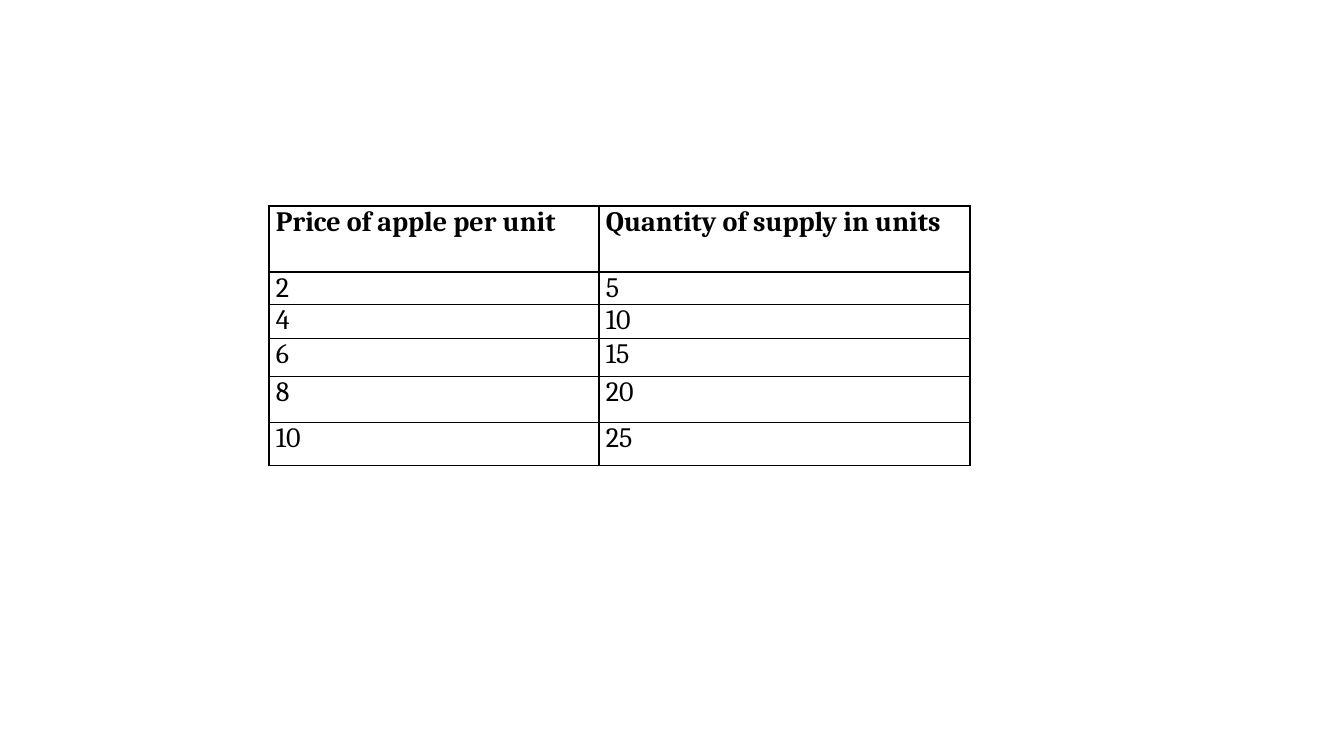
"""Build a slide with a supply schedule table for apples."""
from lxml.etree import SubElement
from pptx import Presentation
from pptx.dml.color import RGBColor
from pptx.enum.text import PP_ALIGN
from pptx.oxml.ns import qn
from pptx.util import Pt

PX = 914400 / 100.8
BLACK = RGBColor(0, 0, 0)
WHITE = RGBColor(255, 255, 255)


def px(n):
    return round(n * PX)


ROWS = [
    ("Price of apple per unit", "Quantity of supply in units"),
    ("2", "5"),
    ("4", "10"),
    ("6", "15"),
    ("8", "20"),
    ("10", "25"),
]
COL_WIDTHS = [330, 371]
ROW_HEIGHTS = [66, 32, 34, 38, 46, 43]

prs = Presentation()
prs.slide_width, prs.slide_height = px(1344), px(756)
s = prs.slides.add_slide(prs.slide_layouts[6])

table = s.shapes.add_table(len(ROWS), len(COL_WIDTHS), px(269), px(206),
                           px(sum(COL_WIDTHS)), px(sum(ROW_HEIGHTS))).table
for col, width in zip(table.columns, COL_WIDTHS):
    col.width = px(width)
for row, height in zip(table.rows, ROW_HEIGHTS):
    row.height = px(height)

for i, texts in enumerate(ROWS):
    for j, text in enumerate(texts):
        cell = table.cell(i, j)
        cell.margin_left = cell.margin_right = px(7)
        cell.margin_top = cell.margin_bottom = 0
        tc_pr = cell._tc.get_or_add_tcPr()
        for side in ("a:lnL", "a:lnR", "a:lnT", "a:lnB"):
            ln = SubElement(tc_pr, qn(side), w=str(Pt(1)))
            fill = SubElement(ln, qn("a:solidFill"))
            SubElement(fill, qn("a:srgbClr"), val=str(BLACK))
        cell.fill.solid()
        cell.fill.fore_color.rgb = WHITE
        p = cell.text_frame.paragraphs[0]
        p.alignment = PP_ALIGN.JUSTIFY
        p.space_after = Pt(1.2)
        r = p.add_run()
        r.text = text
        r.font.name = "Cambria"
        r.font.size = Pt(20)
        r.font.bold = i == 0
        r.font.color.rgb = BLACK

prs.save("out.pptx")
